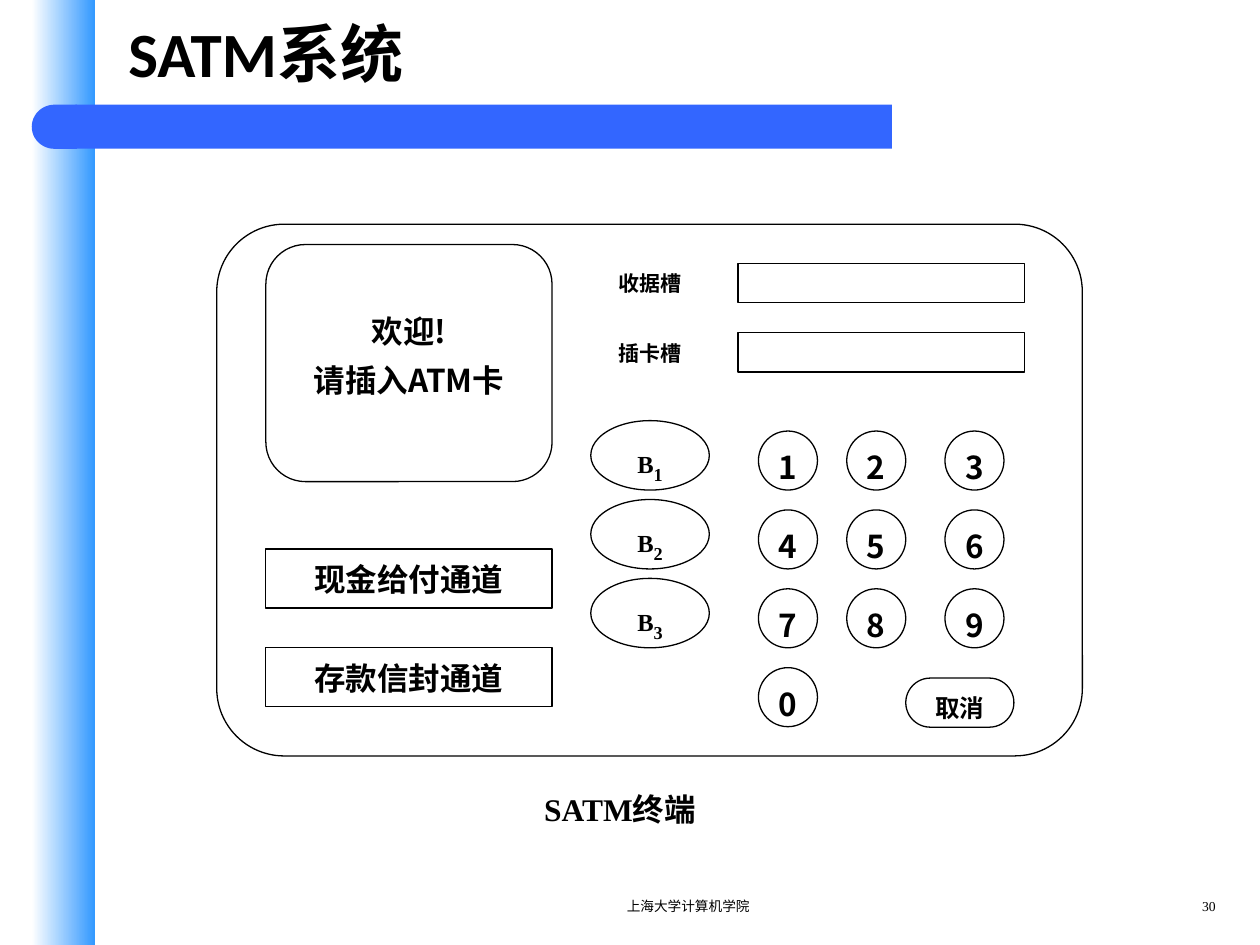
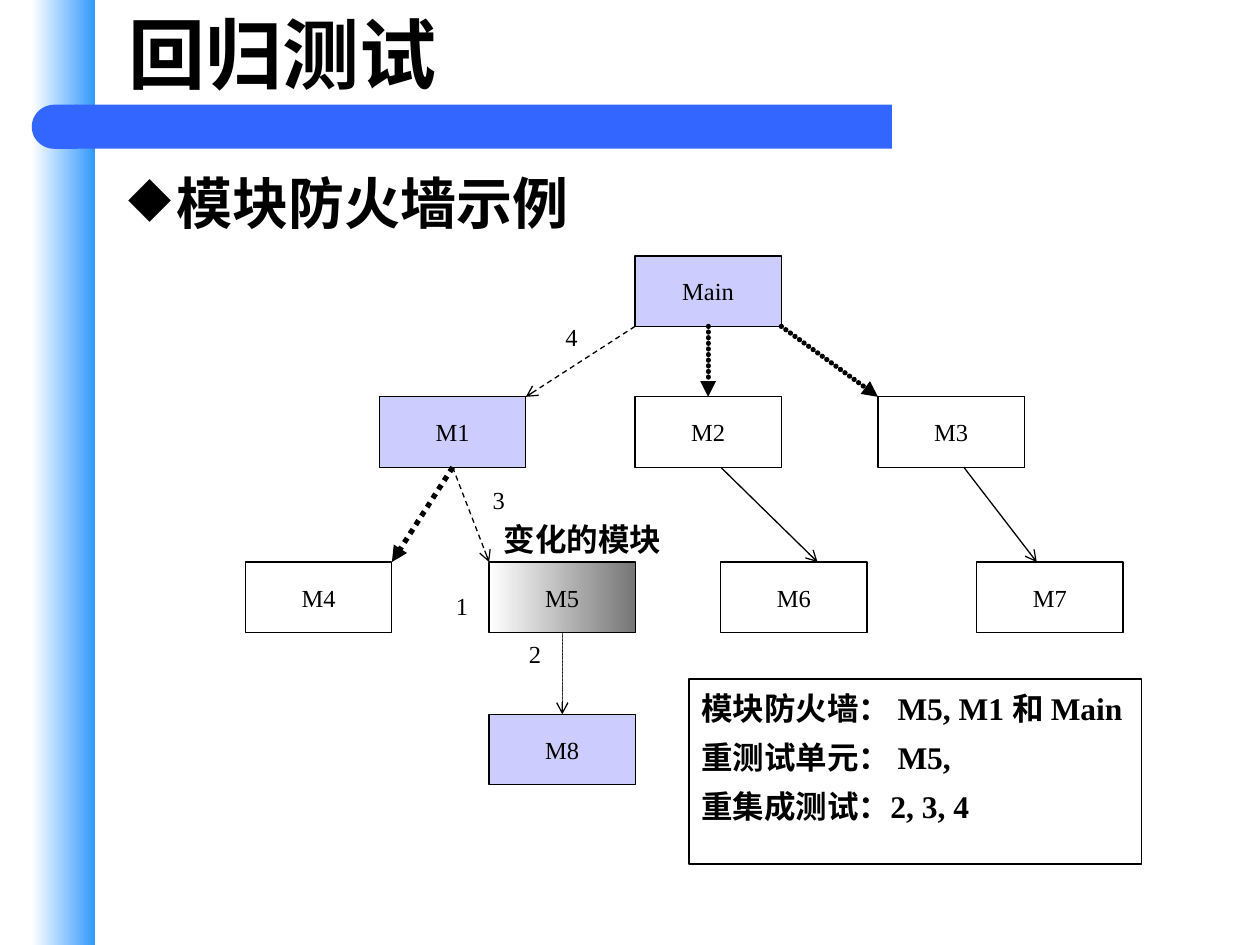
from lxml import etree
from pptx import Presentation
from pptx import util as u
from pptx.dml.color import RGBColor
from pptx.enum import shapes, text
from pptx.oxml.ns import qn

COLORS = {
    "ink": "000000",
    "paper": "FFFFFF",
    "band": "3399FF",
    "bar": "3366FF",
    "firewall": "CCCCFF",
    "changed": "767676",
}
SERIF, SANS, CJK = "Times New Roman", "Calibri", "Noto Sans CJK SC"
LEFT, CENTER, RIGHT = text.PP_ALIGN.LEFT, text.PP_ALIGN.CENTER, text.PP_ALIGN.RIGHT
RECT = shapes.MSO_SHAPE.RECTANGLE
ROUND = shapes.MSO_SHAPE.ROUNDED_RECTANGLE
OVAL = shapes.MSO_SHAPE.OVAL
TOP, BOTTOM = 0, 2
SLIDE_W, SLIDE_H = 25.4, 19.05
MODULE_W, MODULE_H = 2.95, 1.42


def rgb(name):
    return RGBColor.from_string(COLORS[name])


def cm(values):
    return [u.Cm(value) for value in values]


def sub(parent, tag, **attributes):
    return etree.SubElement(parent, qn(tag), attributes)


def set_fill(box, fill):
    """Fill with nothing, one colour name, or a (left, right) gradient."""
    if fill is None:
        box.fill.background()
    elif isinstance(fill, tuple):
        box.fill.gradient()
        box.fill.gradient_angle = 0
        for stop, position, name in zip(box.fill.gradient_stops, (0, 1), fill):
            stop.position = position
            stop.color.rgb = rgb(name)
    else:
        box.fill.solid()
        box.fill.fore_color.rgb = rgb(fill)


def add_box(page, kind, at, fill=None, outlined=True, corner=None):
    box = page.shapes.add_shape(kind, *cm(at))
    box.shadow.inherit = False
    set_fill(box, fill)
    if outlined:
        box.line.color.rgb = rgb("ink")
        box.line.width = u.Pt(0.75)
    else:
        box.line.fill.background()
    if corner is not None:
        box.adjustments[0] = corner
    return box


def set_font(font, size, face, bold):
    font.size = u.Pt(size)
    font.name = face
    font.bold = bold
    font.color.rgb = rgb("ink")


def set_cjk(para):
    """Give each run the East Asian typeface."""
    for span in para.runs:
        sub(span.font._element, "a:ea", typeface=CJK)


def write(box, lines, size, face=SERIF, bold=False, align=CENTER, pad=0.25,
          drop=0, top=None, tight=False):
    """Write lines, centred vertically and lowered by drop, or hung at top."""
    frame = box.text_frame
    frame.word_wrap = True
    frame.auto_size = text.MSO_AUTO_SIZE.NONE
    frame.margin_left = frame.margin_right = u.Cm(pad)
    frame.margin_top = u.Cm(2 * drop if top is None else top)
    frame.margin_bottom = 0
    frame.vertical_anchor = text.MSO_ANCHOR.MIDDLE if top is None else text.MSO_ANCHOR.TOP
    for index, line in enumerate(lines):
        para = frame.add_paragraph() if index else frame.paragraphs[0]
        para.alignment = align
        if index:
            para.space_before = u.Pt(6)
        if tight:
            para.line_spacing = u.Pt(round(1.22 * size))
        para.add_run().text = line
        set_font(para.font, size, face, bold)
        set_cjk(para)
    return frame.paragraphs[0]


def add_text(page, at, line, size, **style):
    return write(page.shapes.add_textbox(*cm(at)), [line], size, **style)


def add_page(deck, title, size):
    page = deck.slides.add_slide(deck.slide_layouts[5])
    holder = page.shapes.title
    holder.left, holder.top, holder.width, holder.height = cm((2.34, 0, 22.02, 2.11))
    write(holder, [title], size, face=SANS, bold=True, align=LEFT)
    return page


def move_bands_to_layout(page):
    """Draw the side band and title bar, then hand them to the layout."""
    side = add_box(page, RECT, (0.64, 0, 1.27, SLIDE_H), ("paper", "band"), False)
    bar = add_box(page, RECT, (1.52, 2.11, 16.46, 0.89), "bar", False)
    cap = add_box(page, shapes.MSO_SHAPE.FLOWCHART_DELAY, (0.64, 2.11, 0.91, 0.89), "bar", False)
    cap.rotation = 180
    tree = page.slide_layout.shapes.element
    for index, band in enumerate((side, bar, cap)):
        band.element.nvSpPr.cNvPr.set("id", str(20 + index))
        tree.insert(2 + index, band.element)


def add_footer(page, owner, number):
    for at, line, align in (((9.53, 17.98, 8.69, 0.64), owner, CENTER),
                            ((22.86, 17.98, 1.9, 0.64), number, RIGHT)):
        add_text(page, at, line, 7.8, align=align).line_spacing = 0.8


def add_bullet(page, at, line):
    para = add_text(page, at, line, 32, face="Noto Sans CJK JP", bold=True,
                    align=LEFT, tight=True)
    properties = para._p.get_or_add_pPr()
    properties.set("marL", str(u.Cm(0.97)))
    properties.set("indent", str(-u.Cm(0.97)))
    mark = etree.Element(qn("a:buChar"), char="◆")
    properties.find(qn("a:defRPr")).addprevious(mark)


def add_arrow(page, start, end, weight=0.75, dash=None, head="arrow"):
    """Join two points; each is (x, y) or (box, side)."""
    arrow = page.shapes.add_connector(shapes.MSO_CONNECTOR.STRAIGHT, 0, 0, 0, 0)
    if isinstance(start[0], (int, float)):
        arrow.begin_x, arrow.begin_y = cm(start)
    else:
        arrow.begin_connect(*start)
    if isinstance(end[0], (int, float)):
        arrow.end_x, arrow.end_y = cm(end)
    else:
        arrow.end_connect(*end)
    arrow.line.color.rgb = rgb("ink")
    arrow.line.width = u.Pt(weight)
    line = arrow.line._get_or_add_ln()
    if dash == "beads":
        line.set("cap", "rnd")
        sub(sub(line, "a:custDash"), "a:ds", d="1000", sp="106000")
    elif dash:
        sub(line, "a:prstDash", val=dash)
    sub(line, "a:tailEnd", type=head)
    sub(arrow._element.spPr, "a:effectLst")


def draw_terminal(page):
    strong = dict(face=CJK, bold=True, tight=True)
    add_box(page, ROUND, (4.37, 4.52, 17.45, 10.72), corner=0.127)

    screen = add_box(page, ROUND, (5.36, 4.93, 5.77, 4.78), corner=0.167)
    write(screen, ["欢迎!", "请插入ATM卡"], 18, top=1.12, **strong)
    for y, name in ((11.07, "现金给付通道"), (13.06, "存款信封通道")):
        write(add_box(page, RECT, (5.36, y, 5.77, 1.19)), [name], 18, **strong)

    for y, name in ((5.31, "收据槽"), (6.71, "插卡槽")):
        add_text(page, (12.12, y, 1.98, 0.79), name, 12, **strong)
        add_box(page, RECT, (14.88, y, 5.77, 0.79))

    row_step = 1.59
    for row in range(3):
        button = add_box(page, OVAL, (11.91, 8.48 + row * row_step, 2.39, 1.4))
        para = write(button, ["B"], 14, bold=True, pad=0, drop=0.17)
        digit = para.add_run()
        digit.text = str(row + 1)
        digit.font.size = u.Pt(18)
        digit.font._element.set("baseline", "-25000")

    columns = (15.29, 17.07, 19.05)
    for index, name in enumerate("1234567890"):
        row, column = divmod(index, 3)
        key = add_box(page, OVAL, (columns[column], 8.69 + row * row_step, 1.19, 1.19))
        write(key, [name], 18, pad=0, drop=0.13, **strong)
    cancel = add_box(page, ROUND, (18.26, 13.67, 2.18, 0.99), corner=0.5)
    write(cancel, ["取消"], 14, pad=0, drop=0.1, **strong)

    add_text(page, (10.72, 15.8, 5.16, 1.02), "SATM终端", 18, bold=True, align=LEFT)


def draw_firewall(page):
    rows = (5.16, 8.0, 11.33, 14.4)
    bottoms = [y + MODULE_H for y in rows]
    modules = {}
    for name, x, row, fill in (
        ("Main", 12.8, 0, "firewall"),
        ("M1", 7.65, 1, "firewall"),
        ("M2", 12.8, 1, "paper"),
        ("M3", 17.7, 1, "paper"),
        ("M4", 4.95, 2, "paper"),
        ("M5", 9.86, 2, ("paper", "changed")),
        ("M6", 14.53, 2, "paper"),
        ("M7", 19.69, 2, "paper"),
        ("M8", 9.86, 3, "firewall"),
    ):
        modules[name] = add_box(page, RECT, (x, rows[row], MODULE_W, MODULE_H), fill)
        write(modules[name], [name], 14)

    main_bottom, m1_bottom = (modules["Main"], BOTTOM), (modules["M1"], BOTTOM)
    thick = dict(weight=3, head="triangle")
    add_arrow(page, main_bottom, (modules["M2"], TOP), dash="beads", **thick)
    add_arrow(page, (12.8, bottoms[0]), (7.65 + MODULE_W, rows[1]), dash="dash")
    add_arrow(page, (12.8 + MODULE_W, bottoms[0]), (17.7, rows[1]), dash="beads", **thick)
    add_arrow(page, m1_bottom, (4.95 + MODULE_W, rows[2]), dash="sysDot", **thick)
    add_arrow(page, m1_bottom, (9.86, rows[2]), dash="dash")
    add_arrow(page, (modules["M5"], BOTTOM), (modules["M8"], TOP), dash="beads")
    add_arrow(page, (14.53, bottoms[1]), (16.48, rows[2]))
    add_arrow(page, (19.43, bottoms[1]), (20.9, rows[2]))

    summary = add_box(page, RECT, (13.89, 13.69, 9.12, 3.73))
    write(summary, ["模块防火墙： M5, M1 和 Main", "重测试单元： M5,", "重集成测试：2, 3, 4"],
          18, bold=True, align=LEFT, top=0.19, tight=True)
    for name, x, y in (("1", 8.94, 11.79), ("2", 10.41, 12.75),
                       ("3", 9.68, 9.65), ("4", 11.15, 6.35)):
        add_text(page, (x, y, 0.8, 0.86), name, 14, align=LEFT)
    add_text(page, (9.91, 10.36, 3.9, 1.02), "变化的模块", 18, bold=True, align=LEFT)


def main():
    deck = Presentation()
    deck.slide_width, deck.slide_height = cm((SLIDE_W, SLIDE_H))

    terminal = add_page(deck, "SATM系统", 36)
    move_bands_to_layout(terminal)
    draw_terminal(terminal)
    add_footer(terminal, "上海大学计算机学院", "30")

    firewall = add_page(deck, "回归测试", 44)
    add_bullet(firewall, (2.34, 3.18, 22.66, 1.78), "模块防火墙示例")
    draw_firewall(firewall)

    deck.save("out.pptx")


if __name__ == "__main__":
    main()
